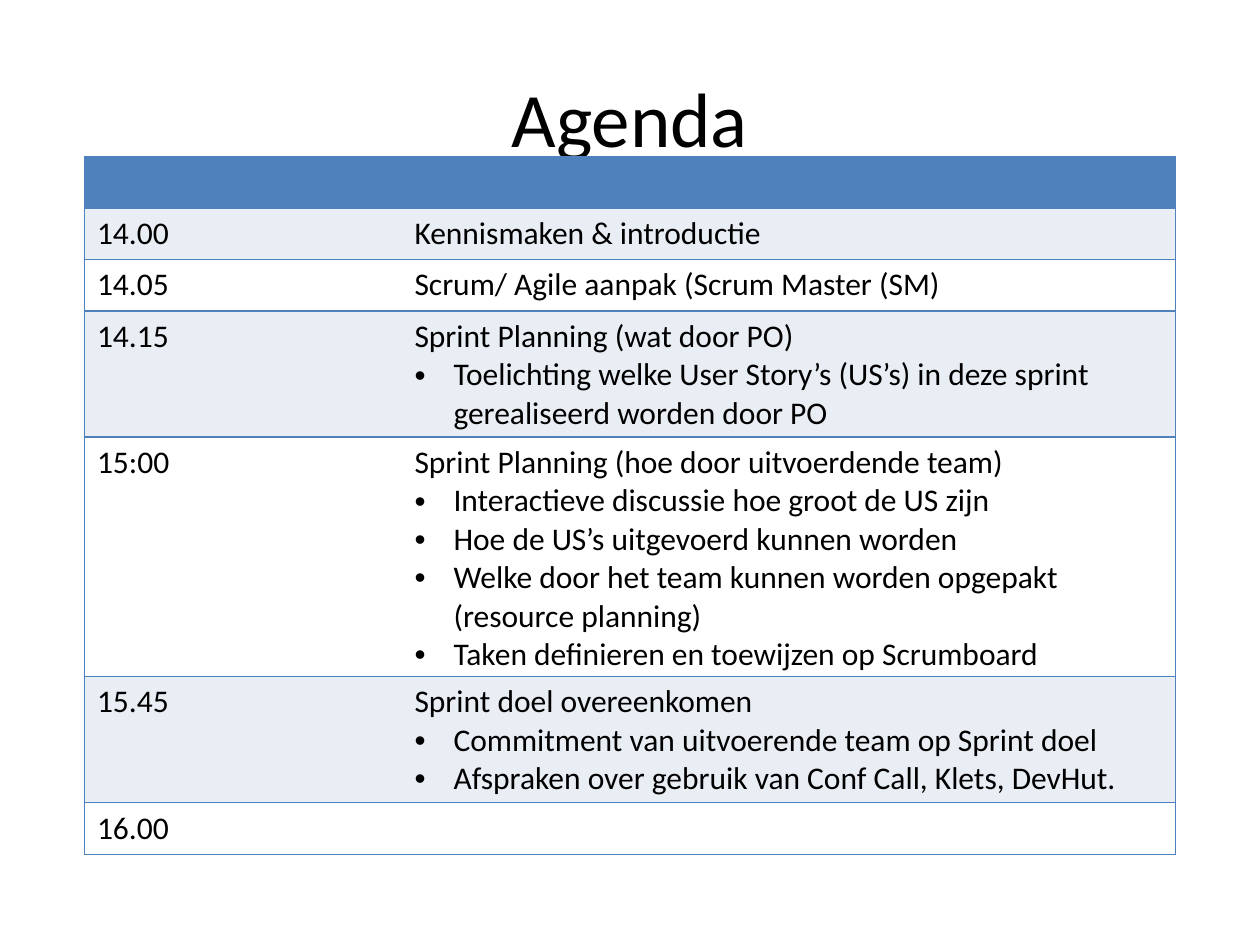
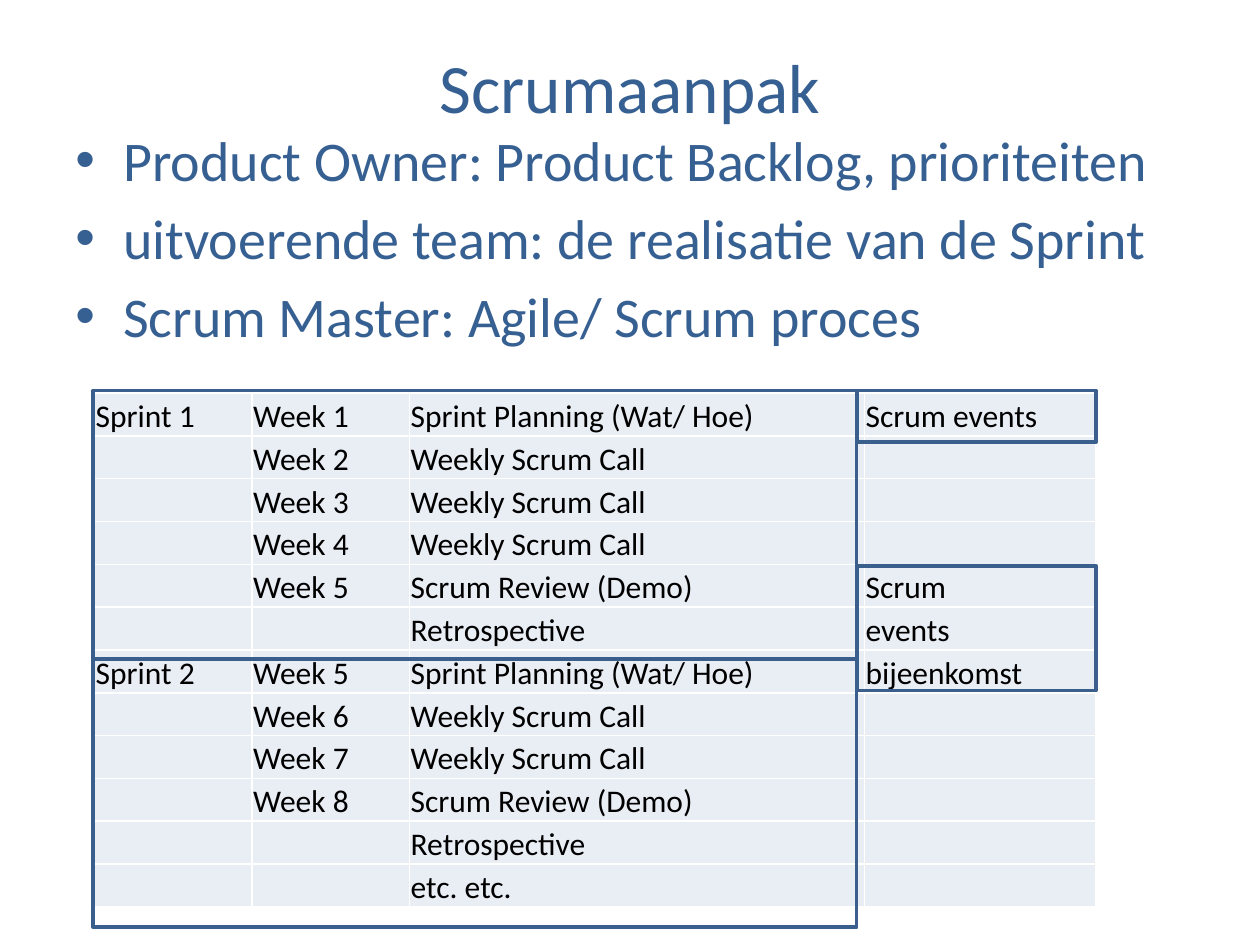
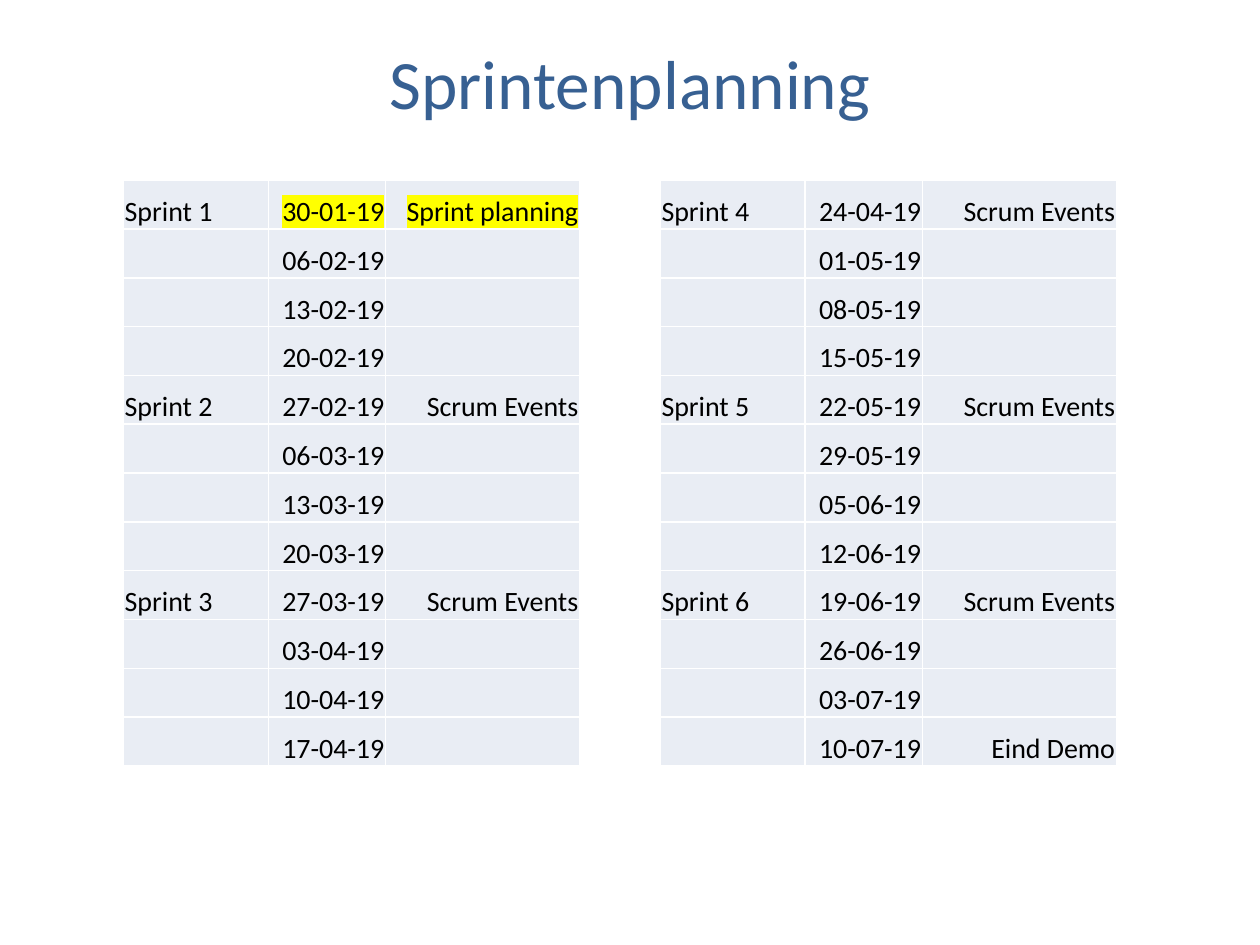
from collections import namedtuple
from dataclasses import dataclass

from lxml.etree import SubElement
from pptx import Presentation
from pptx.dml.color import RGBColor
from pptx.enum.shapes import MSO_SHAPE
from pptx.enum.text import MSO_ANCHOR, PP_ALIGN
from pptx.oxml.ns import qn
from pptx.util import Inches, Pt

Box = namedtuple("Box", "left top width height")


@dataclass(frozen=True)
class Theme:
    font: str = "Calibri"
    text: str = "000000"
    heading: str = "376092"
    accent: str = "4F81BD"
    frame: str = "3A5F8C"
    band: str = "E9EDF4"
    white: str = "FFFFFF"
    highlight: str = "FFFF00"
    agenda_title_size: float = 44
    title_size: float = 39.6
    body_size: float = 32
    table_size: float = 18
    calendar_size: float = 16


THEME = Theme()
BORDER_SIDES = ("L", "R", "T", "B")
LEFT, RIGHT = PP_ALIGN.LEFT, PP_ALIGN.RIGHT

AGENDA = [
    ("", []),
    ("14.00", ["Kennismaken & introductie"]),
    ("14.05", ["Scrum/ Agile aanpak (Scrum Master (SM)"]),
    ("14.15", [
        "Sprint Planning (wat door PO)",
        "Toelichting welke User Story’s (US’s) in deze sprint gerealiseerd worden door PO",
    ]),
    ("15:00", [
        "Sprint Planning (hoe door uitvoerdende team)",
        "Interactieve discussie hoe groot de US zijn",
        "Hoe de US’s uitgevoerd kunnen worden",
        "Welke door het team kunnen worden opgepakt (resource planning)",
        "Taken definieren en toewijzen op Scrumboard",
    ]),
    ("15.45", [
        "Sprint doel overeenkomen",
        "Commitment van uitvoerende team op Sprint doel",
        "Afspraken over gebruik van Conf Call, Klets, DevHut.",
    ]),
    ("16.00", []),
]

ROLES = [
    "Product Owner: Product Backlog, prioriteiten",
    "uitvoerende team: de realisatie van de Sprint",
    "Scrum Master: Agile/ Scrum proces",
]

SPRINT_WEEKS = [
    ("Sprint 1", "Week 1", "Sprint Planning (Wat/ Hoe)", "Scrum events"),
    ("", "Week 2", "Weekly Scrum Call", ""),
    ("", "Week 3", "Weekly Scrum Call", ""),
    ("", "Week 4", "Weekly Scrum Call", ""),
    ("", "Week 5", "Scrum Review (Demo)", "Scrum"),
    ("", "", "Retrospective", "events"),
    ("Sprint 2", "Week 5", "Sprint Planning (Wat/ Hoe)", "bijeenkomst"),
    ("", "Week 6", "Weekly Scrum Call", ""),
    ("", "Week 7", "Weekly Scrum Call", ""),
    ("", "Week 8", "Scrum Review (Demo)", ""),
    ("", "", "Retrospective", ""),
    ("", "", "etc. etc.", ""),
]

SPRINT_DATES = [
    ["30-01-19", "06-02-19", "13-02-19", "20-02-19"],
    ["27-02-19", "06-03-19", "13-03-19", "20-03-19"],
    ["27-03-19", "03-04-19", "10-04-19", "17-04-19"],
    ["24-04-19", "01-05-19", "08-05-19", "15-05-19"],
    ["22-05-19", "29-05-19", "05-06-19", "12-06-19"],
    ["19-06-19", "26-06-19", "03-07-19", "10-07-19"],
]
SPECIAL_EVENTS = {"30-01-19": "Sprint planning", "10-07-19": "Eind Demo"}


def color(value):
    return RGBColor.from_string(value)


def place(box):
    return [Inches(length) for length in box]


def style_paragraph(paragraph, size, text_color=THEME.text):
    paragraph.font.name = THEME.font
    paragraph.font.size = Pt(size)
    paragraph.font.color.rgb = color(text_color)


def add_bullet(paragraph, indent):
    properties = paragraph._p.get_or_add_pPr()
    properties.set("marL", str(Inches(indent)))
    properties.set("indent", str(-Inches(indent)))
    SubElement(properties, qn("a:buFont"), typeface="Arial")
    SubElement(properties, qn("a:buChar"), char="•")


def write_paragraphs(frame, lines):
    frame.text = "\n".join(lines)
    return frame.paragraphs


def add_text_frame(slide, box):
    frame = slide.shapes.add_textbox(*place(box)).text_frame
    frame.word_wrap = True
    return frame


def add_title(slide, box, text, size=THEME.title_size, text_color=THEME.heading):
    frame = add_text_frame(slide, box)
    frame.vertical_anchor = MSO_ANCHOR.MIDDLE
    for paragraph in write_paragraphs(frame, [text]):
        paragraph.alignment = PP_ALIGN.CENTER
        style_paragraph(paragraph, size, text_color)


def add_bullet_list(slide, box, lines):
    frame = add_text_frame(slide, box)
    for paragraph in write_paragraphs(frame, lines):
        add_bullet(paragraph, 0.38)
        paragraph.space_before = Pt(6)
        style_paragraph(paragraph, THEME.body_size, THEME.heading)


def set_borders(cell, line_color, sides=BORDER_SIDES):
    properties = cell._tc.get_or_add_tcPr()
    for position, side in enumerate(BORDER_SIDES):
        line = properties.makeelement(qn(f"a:ln{side}"), {"w": str(Pt(1))})
        if side in sides:
            fill = SubElement(line, qn("a:solidFill"))
            SubElement(fill, qn("a:srgbClr"), val=line_color)
        else:
            SubElement(line, qn("a:noFill"))
        properties.insert(position, line)


def fill_cell(cell, fill_color):
    cell.fill.solid()
    cell.fill.fore_color.rgb = color(fill_color)


def add_plain_table(slide, box, row_count, column_widths):
    table = slide.shapes.add_table(row_count, len(column_widths), *place(box)).table
    table.first_row = False
    table.horz_banding = False
    for column, width in zip(table.columns, column_widths):
        column.width = Inches(width)
    return table


def add_agenda_table(slide, box):
    time_width = 2.52
    table = add_plain_table(slide, box, len(AGENDA), [time_width, box.width - time_width])
    for index, (time, topics) in enumerate(AGENDA):
        fill_color = THEME.band if index % 2 else THEME.white
        if index == 0:
            fill_color = THEME.accent
        time_cell, topic_cell = table.rows[index].cells
        for cell, lines, outer_side in ((time_cell, [time], "L"), (topic_cell, topics, "R")):
            fill_cell(cell, fill_color)
            set_borders(cell, THEME.accent, (outer_side, "T", "B"))
            for number, paragraph in enumerate(write_paragraphs(cell.text_frame, lines)):
                if number:
                    add_bullet(paragraph, 0.31)
                style_paragraph(paragraph, THEME.table_size)


def add_grid_table(slide, box, rows, column_widths, alignments, size):
    table = add_plain_table(slide, box, len(rows), column_widths)
    for table_row, texts in zip(table.rows, rows):
        for cell, text, alignment in zip(table_row.cells, texts, alignments):
            fill_cell(cell, THEME.band)
            set_borders(cell, THEME.white)
            cell.vertical_anchor = MSO_ANCHOR.BOTTOM
            cell.margin_left = cell.margin_right = cell.margin_top = Inches(0.01)
            cell.margin_bottom = 0
            paragraph = cell.text_frame.paragraphs[0]
            if text:
                paragraph.text = text
            paragraph.alignment = alignment
            style_paragraph(paragraph, size)
    return table


def add_outline(slide, box):
    shape = slide.shapes.add_shape(MSO_SHAPE.RECTANGLE, *place(box))
    shape.shadow.inherit = False
    shape.fill.background()
    shape.line.color.rgb = color(THEME.frame)
    shape.line.width = Pt(2)


def add_sprint_outlines(slide, box):
    sprint_width, sprint_height = 6.06, 2.13
    event_left = box.left + sprint_width
    event_width = box.width - sprint_width
    for sprint in range(2):
        top = box.top + sprint * sprint_height
        add_outline(slide, Box(box.left, top, sprint_width, sprint_height))
    for offset, height in ((0, 0.41), (1.39, 0.99)):
        add_outline(slide, Box(event_left, box.top + offset, event_width, height))


def highlight(cell):
    properties = cell.text_frame.paragraphs[0].runs[0]._r.get_or_add_rPr()
    mark = SubElement(properties, qn("a:highlight"))
    SubElement(mark, qn("a:srgbClr"), val=THEME.highlight)


def calendar_rows(first_sprint, sprints):
    rows = []
    for number, dates in enumerate(sprints, first_sprint):
        for index, date in enumerate(dates):
            label = "" if index else f"Sprint {number}"
            event = "" if index else "Scrum Events"
            rows.append((label, date, SPECIAL_EVENTS.get(date, event)))
    return rows


def add_calendars(slide, box):
    column_widths = [1.15, 0.93, 1.54]
    width = sum(column_widths)
    sprints_each = len(SPRINT_DATES) // 2
    tables = []
    for index, left in enumerate((box.left, box.left + box.width - width)):
        start = index * sprints_each
        rows = calendar_rows(start + 1, SPRINT_DATES[start:start + sprints_each])
        tables.append(add_grid_table(
            slide, Box(left, box.top, width, box.height), rows, column_widths,
            [LEFT, RIGHT, RIGHT], THEME.calendar_size,
        ))
    for column in (1, 2):
        highlight(tables[0].cell(0, column))


def build_agenda(slide):
    add_title(slide, Box(0.5, 0.3, 9, 1.25), "Agenda", THEME.agenda_title_size, THEME.text)
    add_agenda_table(slide, Box(0.67, 1.24, 8.66, 0.41 * len(AGENDA)))


def build_approach(slide):
    add_title(slide, Box(0.5, 0.3, 9, 0.77), "Scrumaanpak")
    add_bullet_list(slide, Box(0.5, 0.95, 9, 4.95), ROLES)
    add_grid_table(
        slide, Box(0.75, 3.12, 7.95, 4.08), SPRINT_WEEKS, [1.25, 1.25, 3.61, 1.84],
        [LEFT] * 4, THEME.table_size,
    )
    add_sprint_outlines(slide, Box(0.74, 3.1, 7.96, 4.26))


def build_planning(slide):
    add_title(slide, Box(0.5, 0.3, 9, 0.69), "Sprintenplanning")
    add_calendars(slide, Box(0.98, 1.43, 7.88, 4.65))


presentation = Presentation()
presentation.slide_width = Inches(10)
presentation.slide_height = Inches(7.5)
for build in (build_agenda, build_approach, build_planning):
    build(presentation.slides.add_slide(presentation.slide_layouts[6]))
presentation.save("out.pptx")
